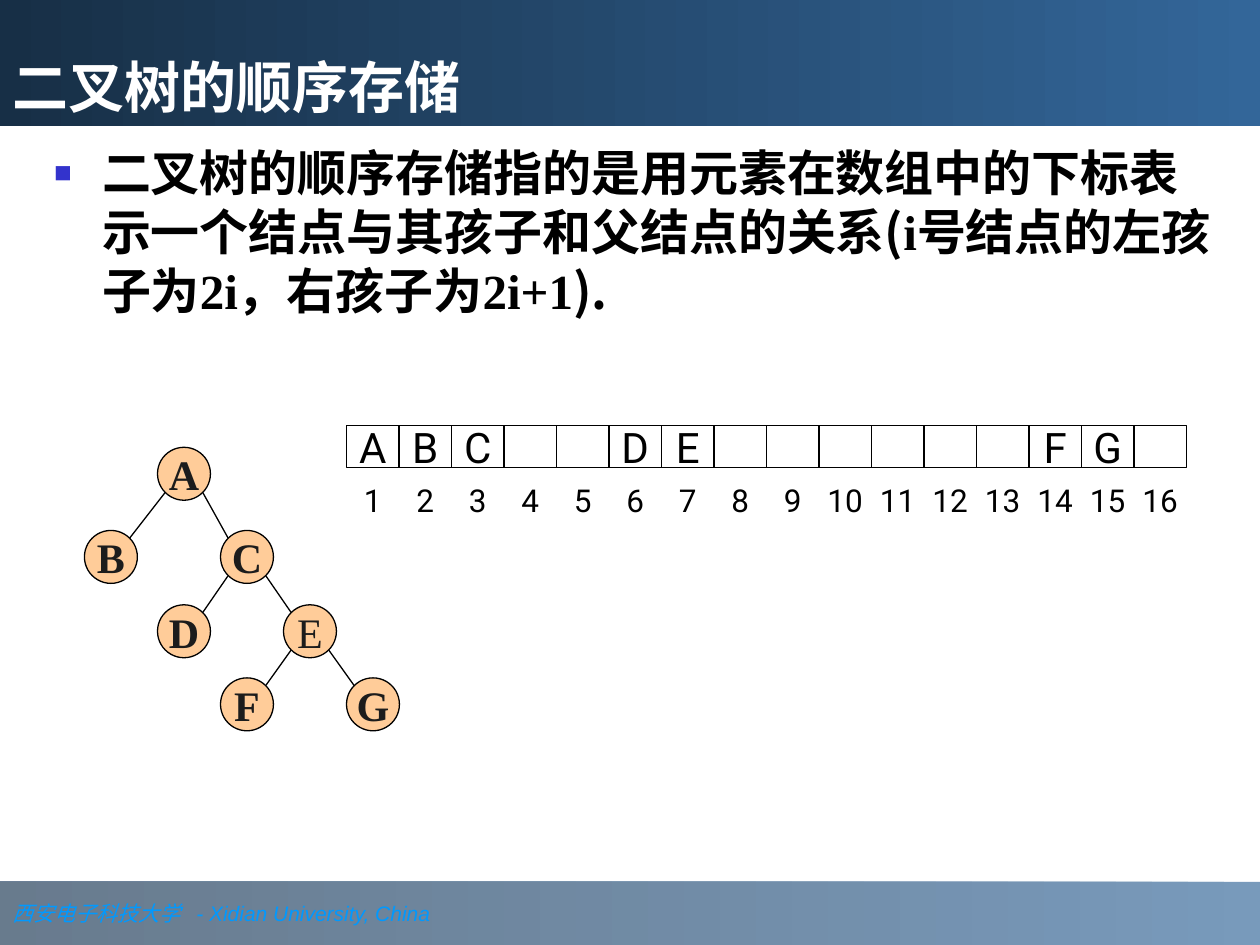
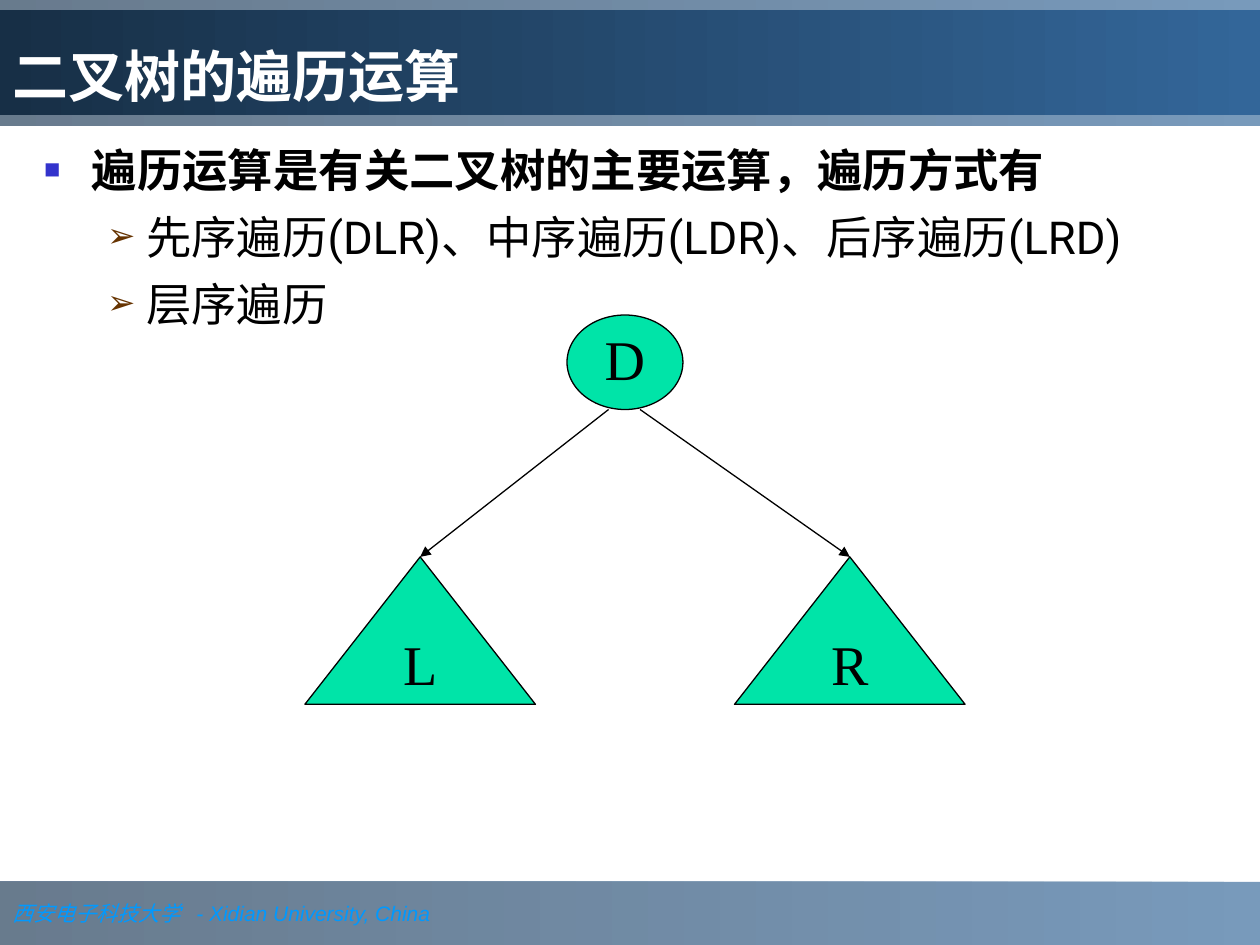
from lxml import etree
from pptx import Presentation
from pptx import util as u
from pptx.dml import color
from pptx.enum import shapes, text
from pptx.oxml import ns

SERIF, SANS, CHINESE = "Times New Roman", "Roboto", "Noto Sans CJK SC"
BLACK, WHITE = "000000", "FFFFFF"
SQUARE = dict(symbol="■", tint="3333CC", percent=60, margin=0.38, indent=0.38)
ARROW = dict(symbol="➢", tint="663300", percent=75, margin=0.81, indent=0.31)


def paint(hex_colour):
    return color.RGBColor.from_string(hex_colour)


def add_child(parent, tag, **attributes):
    return etree.SubElement(parent, ns.qn(tag), {key: str(value) for key, value in attributes.items()})


def set_bullet(para, symbol, tint, percent, margin, indent):
    properties = para._p.get_or_add_pPr()
    properties.set("marL", str(u.Inches(margin)))
    properties.set("indent", str(-u.Inches(indent)))
    add_child(add_child(properties, "a:buClr"), "a:srgbClr", val=tint)
    add_child(properties, "a:buSzPct", val=percent * 1000)
    add_child(properties, "a:buFont", typeface="Arial")
    add_child(properties, "a:buChar", char=symbol)


def write(para, words, size=24, font=SERIF, tint=BLACK, bold=False, italic=False,
          align=text.PP_ALIGN.LEFT, spacing=None, before=0):
    para.alignment = align
    para.space_before = u.Pt(before)
    if spacing:
        para.line_spacing = spacing
    for part, face in [(words, font)] if isinstance(words, str) else words:
        span = para.add_run()
        span.text = part
        span.font.name = face
        span.font.size = u.Pt(size)
        span.font.bold = bold
        span.font.italic = italic
        span.font.color.rgb = paint(tint)


class Lecture:
    node_size = 0.42

    def __init__(self):
        self.deck = Presentation()
        self.deck.slide_width, self.deck.slide_height = u.Inches(10), u.Inches(7.5)
        self.layout = self.deck.slide_layouts[1]
        self.page = None

    def start_page(self, title, top=0, height=1):
        first = self.page is None
        self.page = self.deck.slides.add_slide(self.layout)
        if first:
            self.add_bands()
        box = self.page.shapes.title
        self.place(box, 0, top, 10, height)
        self.blend(box, "172F46")
        self.frame(box, text.MSO_ANCHOR.BOTTOM, True)
        write(box.text_frame.paragraphs[0], title, size=32, font=SANS, tint=WHITE, bold=True)

    def add_bands(self):
        tree = self.layout.shapes.element
        for top, height in ((0, 1), (7, 0.5)):
            band = self.shape(shapes.MSO_SHAPE.RECTANGLE, 0, top, 10, height, outline=None)
            self.blend(band, "1B3753", 66)
            tree.insert(2, band.element)
        self.frame(band, wrap=True)
        para = band.text_frame.paragraphs[0]
        stops = add_child(para._p.get_or_add_pPr(), "a:tabLst")
        add_child(stops, "a:tab", pos=u.Inches(1.46), algn="l")
        write(para, [("西安电子科技大学\t", SERIF), ("- Xidian University, China", "Arial")],
              size=12, tint="0099FF", italic=True)

    def place(self, box, left, top, width, height):
        box.left, box.top = u.Inches(left), u.Inches(top)
        box.width, box.height = u.Inches(width), u.Inches(height)

    def frame(self, box, anchor=text.MSO_ANCHOR.MIDDLE, wrap=False):
        frame = box.text_frame
        frame.auto_size = text.MSO_AUTO_SIZE.NONE
        frame.vertical_anchor = anchor
        frame.word_wrap = wrap

    def blend(self, box, dark, opacity=100):
        box.fill.gradient()
        box.fill.gradient_angle = 180
        for stop, tint in zip(box.fill.gradient_stops, ("336699", dark)):
            stop.color.rgb = paint(tint)
        if opacity < 100:
            for tone in box.element.spPr.iter(ns.qn("a:srgbClr")):
                add_child(tone, "a:alpha", val=opacity * 1000)

    def body(self, left, width, height, items):
        box = self.page.placeholders[1]
        self.place(box, left, 1.08, width, height)
        self.frame(box, text.MSO_ANCHOR.TOP, True)
        for index, (words, level, bullet, style) in enumerate(items):
            para = box.text_frame.add_paragraph() if index else box.text_frame.paragraphs[0]
            para.level = level
            set_bullet(para, **bullet)
            write(para, words, before=7 if index else 0, **style)

    def shape(self, kind, left, top, width, height, words="", fill=None, outline=BLACK, **style):
        shape = self.page.shapes.add_shape(
            kind, u.Inches(left), u.Inches(top), u.Inches(width), u.Inches(height))
        shape.shadow.inherit = False
        if fill:
            shape.fill.solid()
            shape.fill.fore_color.rgb = paint(fill)
        else:
            shape.fill.background()
        if outline:
            shape.line.color.rgb = paint(outline)
            shape.line.width = u.Pt(0.75)
        else:
            shape.line.fill.background()
        if words:
            self.frame(shape)
            write(shape.text_frame.paragraphs[0], words, align=text.PP_ALIGN.CENTER, **style)
        return shape

    def label(self, left, top, width, height, words, **style):
        box = self.page.shapes.add_textbox(
            u.Inches(left), u.Inches(top), u.Inches(width), u.Inches(height))
        self.frame(box)
        write(box.text_frame.paragraphs[0], words, align=text.PP_ALIGN.CENTER, **style)

    def line(self, start, end, target=None):
        points = [u.Inches(value) for value in (*start, *end)]
        line = self.page.shapes.add_connector(shapes.MSO_CONNECTOR.STRAIGHT, *points)
        line.line.color.rgb = paint(BLACK)
        line.line.width = u.Pt(0.75)
        if target is not None:
            line.end_connect(target, 0)
            add_child(line.line._get_or_add_ln(), "a:tailEnd", type="triangle")
        add_child(line.element.spPr, "a:effectLst")

    def tree(self, nodes, edges, plain):
        size = self.node_size
        for name, (left, top) in nodes.items():
            self.shape(shapes.MSO_SHAPE.OVAL, left, top, size, size, name,
                       fill="FFCC99", tint="1C1C1C", bold=name not in plain)
        middle, reach = size / 2, 0.15
        for parent, child in edges:
            (x1, y1), (x2, y2) = nodes[parent], nodes[child]
            side = reach if x2 > x1 else -reach
            self.line((x1 + middle + side, y1 + middle + reach),
                      (x2 + middle - side, y2 + middle - reach))

    def array(self, values, count):
        step, height = 5 / 12, 0.33
        for index in range(count):
            left = 2.75 + index * step
            self.shape(shapes.MSO_SHAPE.RECTANGLE, left, 3.38, step, height,
                       values.get(index + 1, ""), font=SANS)
            self.label(left, 3.8, step, height, str(index + 1), size=18, font=SANS)


def storage_page(lecture):
    lecture.start_page("二叉树的顺序存储")
    words = [("二叉树的顺序存储指的是用元素在数组中的下标表示一个结点与其孩子和父结点的关系(", CHINESE),
             ("i号结点的左孩子为2i，右孩子为2i+1", SERIF), (").", CHINESE)]
    lecture.body(0.33, 9.5, 1.8, [(words, 0, SQUARE, dict(size=28, bold=True))])
    nodes = {"A": (1.25, 3.55), "B": (0.67, 4.21), "C": (1.75, 4.21), "D": (1.25, 4.8),
             "E": (2.25, 4.8), "F": (1.75, 5.38), "G": (2.75, 5.38)}
    lecture.tree(nodes, ("AB", "AC", "CD", "CE", "EF", "EG"), plain="E")
    lecture.array({1: "A", 2: "B", 3: "C", 6: "D", 7: "E", 14: "F", 15: "G"}, 16)


def traversal_page(lecture):
    lecture.start_page("二叉树的遍历运算", top=0.08, height=0.83)
    style = dict(size=25.9, font=SANS)
    lecture.body(0.25, 9.42, 2.08, [
        ("遍历运算是有关二叉树的主要运算，遍历方式有", 0, SQUARE, dict(style, bold=True)),
        ("先序遍历(DLR)、中序遍历(LDR)、后序遍历(LRD)", 1, ARROW, style),
        ("层序遍历", 1, ARROW, style)])
    look = dict(fill="00E4A8", size=32, spacing=0.9)
    lecture.shape(shapes.MSO_SHAPE.OVAL, 4.5, 2.5, 0.92, 0.75, "D", **look)
    subtrees = [lecture.shape(shapes.MSO_SHAPE.ISOSCELES_TRIANGLE, left, 4.42, 1.83, 1.17, name, **look)
                for name, left in (("L", 2.42), ("R", 5.83))]
    for start, subtree in zip((4.83, 5.08), subtrees):
        lecture.line((start, 3.25), (start, 4.42), subtree)


def main():
    lecture = Lecture()
    storage_page(lecture)
    traversal_page(lecture)
    lecture.deck.save("out.pptx")


if __name__ == "__main__":
    main()
